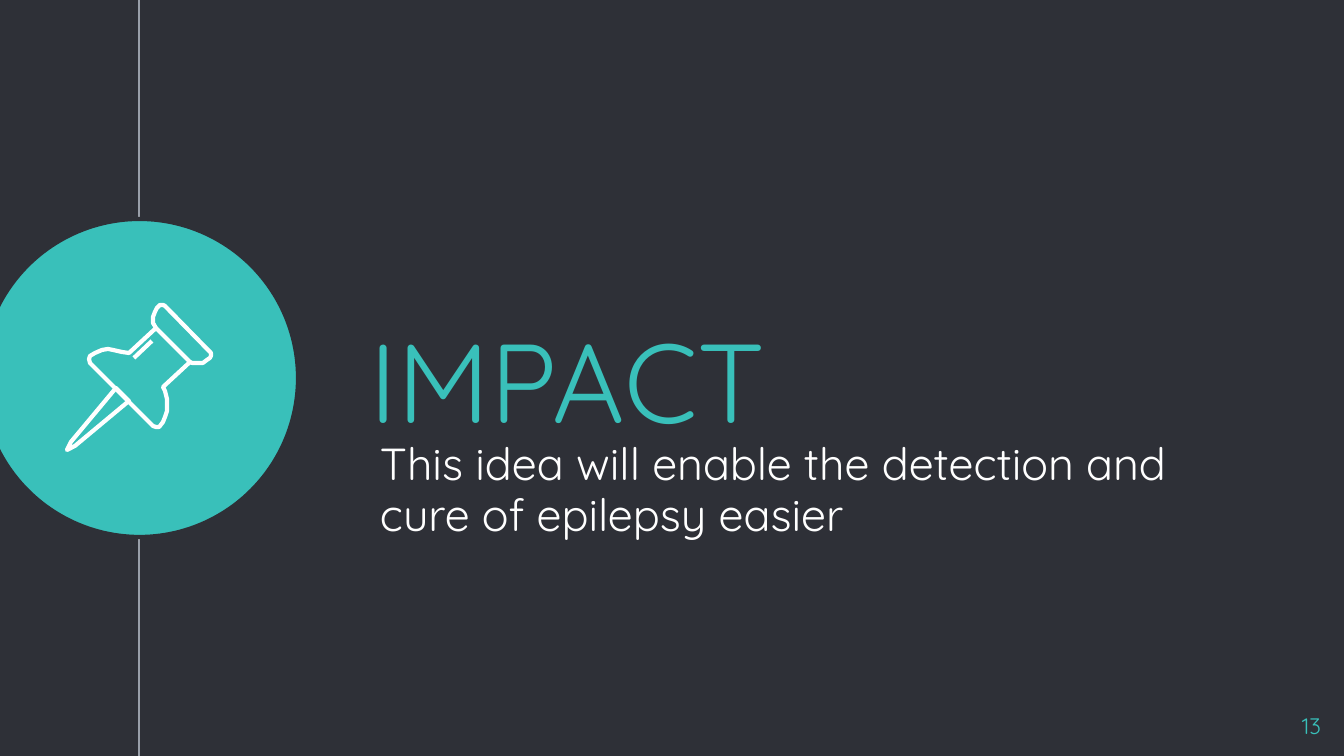
from dataclasses import dataclass

from lxml.etree import SubElement
from pptx import Presentation
from pptx.dml.color import RGBColor
from pptx.enum.shapes import MSO_CONNECTOR, MSO_SHAPE
from pptx.enum.text import MSO_ANCHOR, PP_ALIGN
from pptx.oxml.ns import qn
from pptx.util import Pt

SCALE = 9144000 / 1344
SLIDE_WIDTH, SLIDE_HEIGHT = 1344, 756
AXIS = 139
NEEDLE = [(116, 388), (71, 442), (67, 450), (75, 446), (129, 401)]
HEAD = [
    (156, 328), (190, 362), (192, 363), (198, 363), (203, 363), (207, 360),
    (210, 358), (211, 356), (211, 353), (210, 352), (165, 306), (163, 305),
    (160, 305), (157, 308), (155, 312), (153, 317), (153, 323),
]
BODY = [
    (156, 328), (129, 353), (122, 352), (113, 350), (108, 349), (102, 350),
    (95, 353), (90, 356), (89, 359), (90, 363), (153, 426), (156, 427),
    (159, 427), (160, 426), (163, 422), (165, 417), (167, 411), (167, 407),
    (167, 399), (165, 391), (163, 387), (190, 362),
]
GLINT = [(134, 358), (152, 341)]


@dataclass(frozen=True)
class Theme:
    """Colours, font and type sizes of the slide."""

    background: str = "2E3037"
    accent: str = "39C0BA"
    rule: str = "999FA9"
    light: str = "FFFFFF"
    font: str = "Quicksand"
    title: int = 60
    subtitle: int = 24
    number: int = 12
    thin: float = 0.75
    thick: float = 2.25


def emu(px):
    """Turn px into EMU."""
    return round(px * SCALE)


class SlideBuilder:
    """Draws styled elements on the current slide."""

    def __init__(self, slide, theme):
        """Keep the slide and theme, and paint the background."""
        self.slide = slide
        self.theme = theme
        fill = slide.background.fill
        fill.solid()
        fill.fore_color.rgb = RGBColor.from_string(theme.background)

    def outline(self, shape, color, width):
        """Set the line colour and width of a shape."""
        shape.line.color.rgb = RGBColor.from_string(color)
        shape.line.width = Pt(width)

    def vertical_rule(self, x, top, bottom):
        """Draw a thin vertical line."""
        ends = map(emu, (x, top, x, bottom))
        rule = self.slide.shapes.add_connector(MSO_CONNECTOR.STRAIGHT, *ends)
        self.outline(rule, self.theme.rule, self.theme.thin)
        SubElement(rule.line._get_or_add_ln().getparent(), qn("a:effectLst"))

    def circle(self, *frame):
        """Draw an accent circle ringed in the background colour."""
        circle = self.slide.shapes.add_shape(MSO_SHAPE.OVAL, *map(emu, frame))
        circle.shadow.inherit = False
        circle.fill.solid()
        circle.fill.fore_color.rgb = RGBColor.from_string(self.theme.accent)
        self.outline(circle, self.theme.background, self.theme.thick)

    def stroke(self, points, close):
        """Draw an unfilled light outline through the points."""
        builder = self.slide.shapes.build_freeform(*points[0], scale=SCALE)
        builder.add_line_segments(points[1:], close=close)
        shape = builder.convert_to_shape()
        shape.shadow.inherit = False
        shape.fill.background()
        self.outline(shape, self.theme.light, self.theme.thick)

    def text(self, words, frame, size, color, anchor=MSO_ANCHOR.TOP,
             align=PP_ALIGN.LEFT, before=0, spacing=1.0):
        """Add a wrapped text box with one run."""
        box = self.slide.shapes.add_textbox(*map(emu, frame)).text_frame
        box.word_wrap = True
        box.vertical_anchor = anchor
        box.margin_left = box.margin_right = emu(13)
        box.margin_top = box.margin_bottom = emu(13)
        para = box.paragraphs[0]
        para.alignment = align
        para.space_before = Pt(before)
        para.line_spacing = spacing
        span = para.add_run()
        span.text = words
        span.font.name = self.theme.font
        span.font.size = Pt(size)
        span.font.color.rgb = RGBColor.from_string(color)


def main():
    """Build and save the deck."""
    deck = Presentation()
    deck.slide_width, deck.slide_height = emu(SLIDE_WIDTH), emu(SLIDE_HEIGHT)
    theme = Theme()
    page = SlideBuilder(deck.slides.add_slide(deck.slide_layouts[6]), theme)

    page.vertical_rule(AXIS, 0, SLIDE_HEIGHT)
    page.circle(-19, 219, 317, 318)
    page.text("IMPACT", (357, 293, 886, 171), theme.title, theme.accent,
              anchor=MSO_ANCHOR.MIDDLE)
    page.text("This idea will enable the detection and cure of epilepsy easier",
              (367, 427, 886, 116), theme.subtitle, theme.light,
              before=3, spacing=0.95)
    for points, close in ((NEEDLE, True), (HEAD, True), (BODY, False), (GLINT, False)):
        page.stroke(points, close)
    page.text("13", (1253, 699, 81, 46), theme.number, theme.accent,
              align=PP_ALIGN.RIGHT)
    deck.save("out.pptx")


if __name__ == "__main__":
    main()
